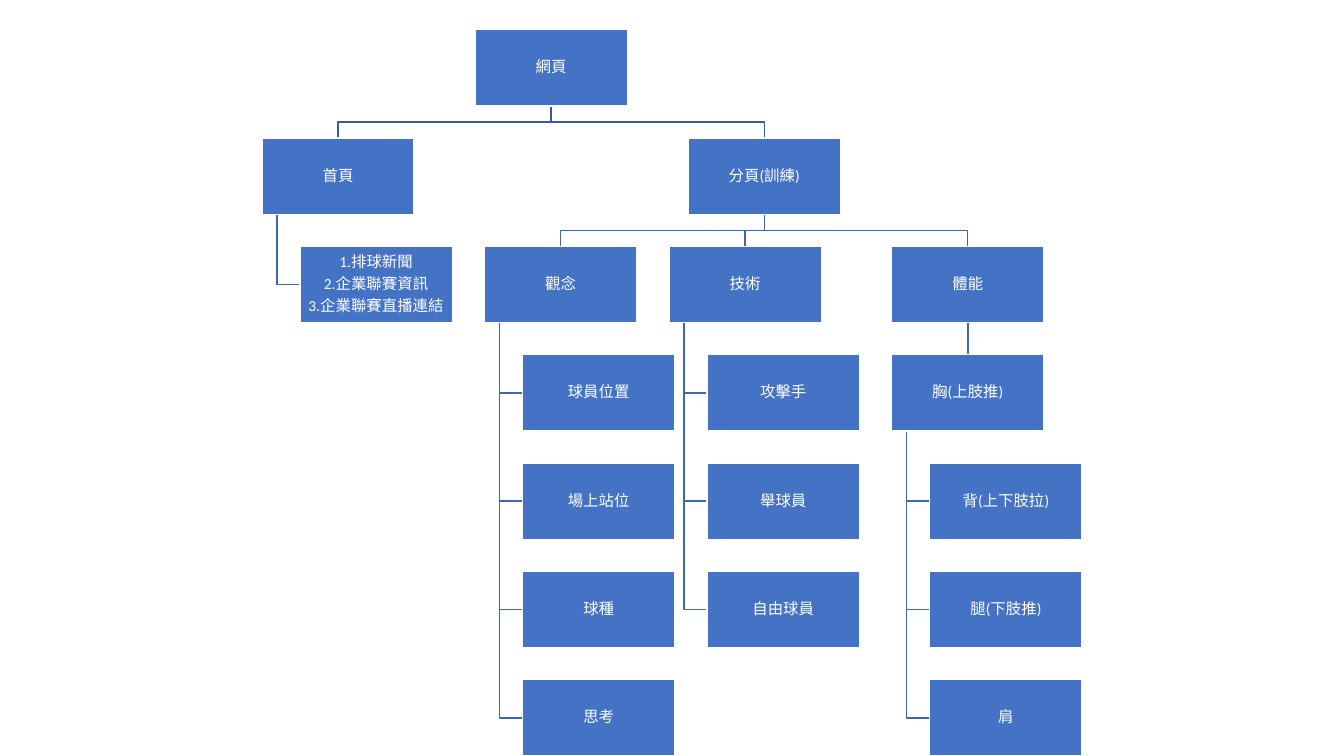
"""Build a one-slide site map of a volleyball training website."""
from dataclasses import dataclass
from typing import Iterator, Optional

from lxml.etree import SubElement
from pptx import Presentation
from pptx.dml.color import RGBColor
from pptx.enum.shapes import MSO_CONNECTOR as Connector, MSO_SHAPE as Shape
from pptx.enum.text import MSO_ANCHOR as Anchor, PP_ALIGN as Align
from pptx.oxml.ns import qn
from pptx.shapes.autoshape import Shape as Box
from pptx.shapes.connector import Connector as Link
from pptx.shapes.shapetree import SlideShapes
from pptx.util import Cm, Pt

COLORS = {"box": "4472C4", "text": "FFFFFF", "border": "FFFFFF",
          "top_link": "365B9D", "link": "3E67B2"}
FONT = "Calibri"
BOX_WIDTH, BOX_HEIGHT = 3.84, 1.92
ROOT_LEFT, ROOT_TOP, ROW_PITCH = 11.97, 0.75, 2.73
HANG_SHIFT, STEM_INSET = 0.96, 0.38


@dataclass(frozen=True)
class Page:
    label: str
    shift: float = HANG_SHIFT
    children: tuple["Page", ...] = ()
    hanging: bool = False


@dataclass(frozen=True)
class Placed:
    page: Page
    left: float
    row: int
    parent: Optional["Placed"] = None

    @property
    def top(self) -> float:
        return ROOT_TOP + self.row * ROW_PITCH

    @property
    def bottom(self) -> float:
        return self.top + BOX_HEIGHT

    @property
    def center(self) -> float:
        return self.left + BOX_WIDTH / 2


def hang(*labels: str) -> tuple[Page, ...]:
    return tuple(Page(label, hanging=True) for label in labels)


SITE = Page("網頁", 0, (
    Page("首頁", -5.37, hang("1.排球新聞\n2.企業聯賽資訊\n3.企業聯賽直播連結")),
    Page("分頁(訓練)", 5.37, (
        Page("觀念", -5.13, hang("球員位置", "場上站位", "球種", "思考")),
        Page("技術", -0.48, hang("攻擊手", "舉球員", "自由球員")),
        Page("體能", 5.13, (
            Page("胸(上肢推)", 0, hang("背(上下肢拉)", "腿(下肢推)", "肩")),
        )),
    )),
))


def place(placed: Placed) -> Iterator[Placed]:
    yield placed
    for index, child in enumerate(placed.page.children):
        row = placed.row + 1 + (index if child.hanging else 0)
        yield from place(Placed(child, placed.left + child.shift, row, placed))


def color(name: str) -> RGBColor:
    return RGBColor.from_string(COLORS[name])


def link_points(parent: Placed, child: Placed) -> list[tuple[float, float]]:
    if child.page.hanging:
        stem = parent.left + STEM_INSET
        middle = child.top + BOX_HEIGHT / 2
        return [(stem, parent.bottom), (stem, middle), (child.left, middle)]
    if child.left == parent.left:
        return [(parent.center, parent.bottom), (child.center, child.top)]
    bar = (parent.bottom + child.top) / 2
    return [(parent.center, parent.bottom), (parent.center, bar),
            (child.center, bar), (child.center, child.top)]


def draw_link(shapes: SlideShapes, parent: Placed, child: Placed) -> Optional[Link]:
    points = [(Cm(x), Cm(y)) for x, y in link_points(parent, child)]
    straight = len(points) == 2
    if straight:
        link = shapes.add_connector(Connector.STRAIGHT, *points[0], *points[1])
        SubElement(link._element.spPr, qn("a:effectLst"))
    else:
        builder = shapes.build_freeform(*points[0])
        builder.add_line_segments(points[1:], close=False)
        link = builder.convert_to_shape()
        link.fill.background()
        link.shadow.inherit = False
    link.line.color.rgb = color("link" if parent.parent else "top_link")
    link.line.width = Pt(1)
    return link if straight else None


def draw_box(shapes: SlideShapes, placed: Placed) -> Box:
    box = shapes.add_shape(Shape.RECTANGLE, Cm(placed.left), Cm(placed.top),
                           Cm(BOX_WIDTH), Cm(BOX_HEIGHT))
    box.shadow.inherit = False
    box.fill.solid()
    box.fill.fore_color.rgb = color("box")
    box.line.color.rgb = color("border")
    box.line.width = Pt(1)
    frame = box.text_frame
    frame.word_wrap = True
    frame.vertical_anchor = Anchor.MIDDLE
    frame.margin_left = frame.margin_right = Cm(0.02)
    frame.margin_top = frame.margin_bottom = Cm(0.02)
    frame.text = placed.page.label
    for para in frame.paragraphs:
        para.alignment = Align.CENTER
        para.line_spacing = 0.9
        para.space_after = Pt(3.85)
        for span in para.runs:
            span.font.name = FONT
            span.font.size = Pt(11)
            span.font.color.rgb = color("text")
    return box


def main() -> None:
    deck = Presentation()
    deck.slide_width, deck.slide_height = Cm(33.87), Cm(19.05)
    shapes = deck.slides.add_slide(deck.slide_layouts[6]).shapes
    pages = list(place(Placed(SITE, ROOT_LEFT, 0)))
    links = [(draw_link(shapes, page.parent, page), page)
             for page in pages if page.parent]
    boxes = {page: draw_box(shapes, page) for page in pages}
    for link, page in links:
        if link:
            link.begin_connect(boxes[page.parent], 2)
            link.end_connect(boxes[page], 0)
    deck.save("out.pptx")


if __name__ == "__main__":
    main()
